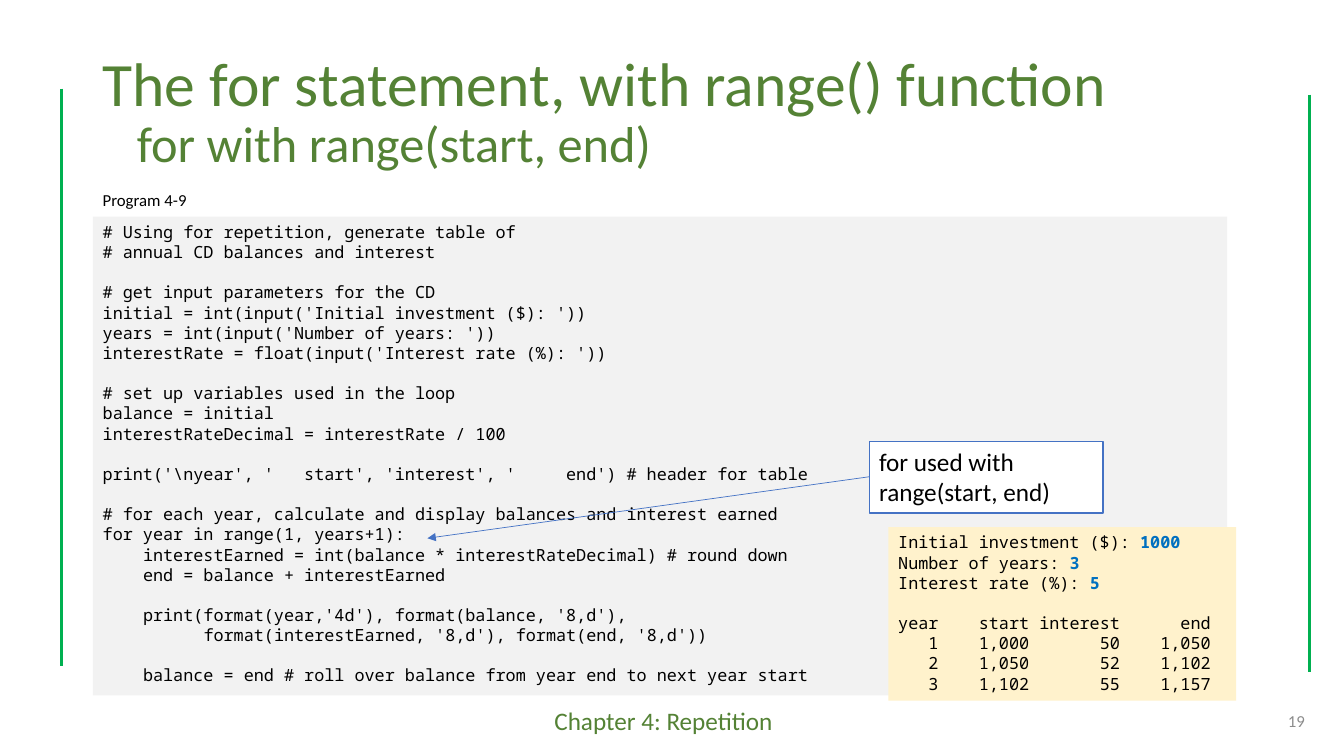
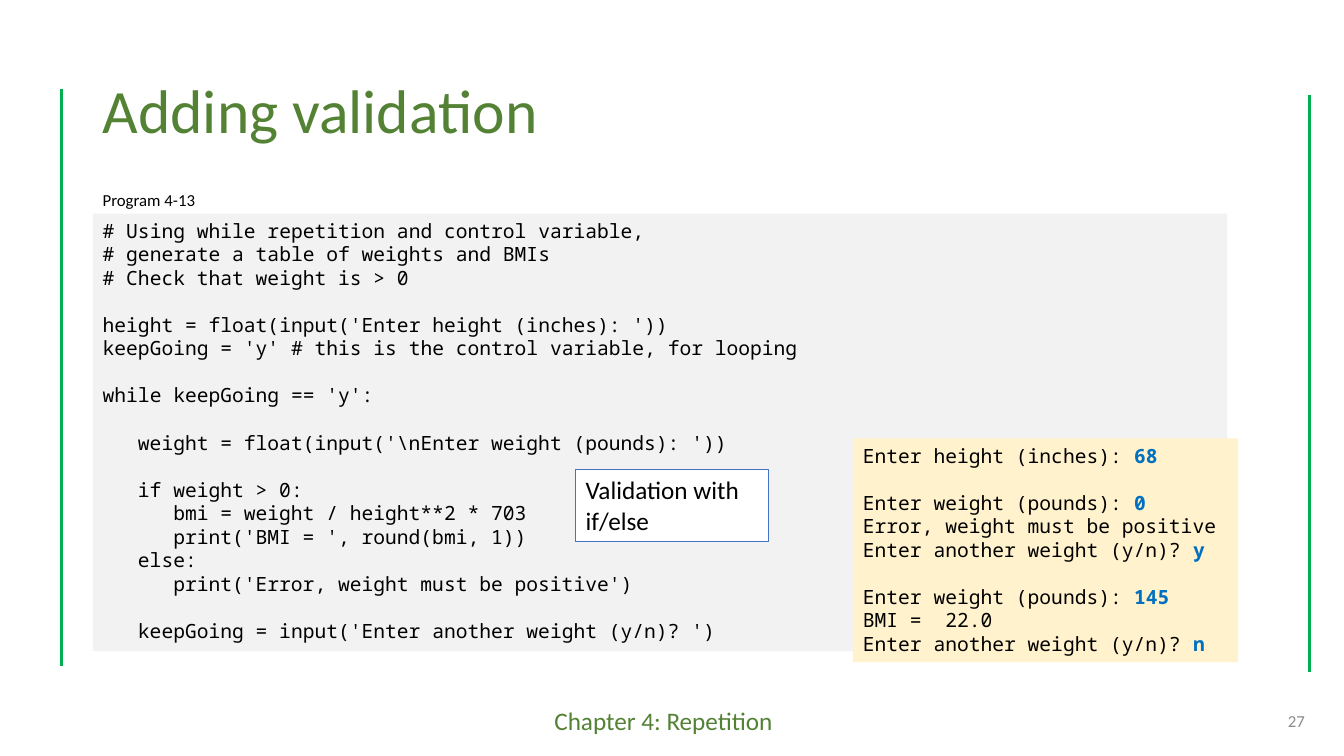
import pptx
import pptx.util
import pptx.dml.color
import pptx.enum.shapes
import pptx.enum.text
import pptx.oxml
import pptx.oxml.ns

PX = 9144  # one px is a hundredth of an inch
SANS, MONO = "Calibri", "Noto Sans Mono"
GREEN, BAR, BLUE, INPUT = "548235", "00B050", "4472C4", "0070C0"
BLACK, WHITE, MUTED = "000000", "FFFFFF", "8C8C8C"
CODE, SHELL = "F2F2F2", "FFF2CC"
CHAR, LINE = 0.6, 1.2  # width and height of a mono letter, in ems
ENDS = (4, 13, 22, 31)  # letter counts where the table's columns end
ALIGN = pptx.enum.text.PP_ALIGN
ANCHOR = pptx.enum.text.MSO_ANCHOR

FOR_SETUP = r"""# Using for repetition, generate table of
# annual CD balances and interest

# get input parameters for the CD
initial = int(input('Initial investment ($): '))
years = int(input('Number of years: '))
interestRate = float(input('Interest rate (%): '))

# set up variables used in the loop
balance = initial
interestRateDecimal = interestRate / 100

print('\nyear', '   start', 'interest', '     end') # header for table

"""

FOR_LOOP = """# for each year, calculate and display balances and interest earned
for year in range(1, years+1):
    interestEarned = int(balance * interestRateDecimal) # round down
    end = balance + interestEarned

    print(format(year,'4d'), format(balance, '8,d'),
          format(interestEarned, '8,d'), format(end, '8,d'))

    balance = end # roll over balance from year end to next year start"""

# In a shell run, what follows the bar is typed by the user
FOR_RUN = """Initial investment ($): |1000
Number of years: |3
Interest rate (%): |5

\tyear\tstart\tinterest\tend
\t1\t1,000\t50\t1,050
\t2\t1,050\t52\t1,102
\t3\t1,102\t55\t1,157"""

BMI_CODE = r"""# Using while repetition and control variable,
# generate a table of weights and BMIs
# Check that weight is > 0

height = float(input('Enter height (inches): '))
keepGoing = 'y' # this is the control variable, for looping

while keepGoing == 'y':

   weight = float(input('\nEnter weight (pounds): '))

   if weight > 0:
      bmi = weight / height**2 * 703
      print('BMI = ', round(bmi, 1))
   else:
      print('Error, weight must be positive')

   keepGoing = input('Enter another weight (y/n)? ')"""

BMI_RUN = """Enter height (inches): |68

Enter weight (pounds): |0
Error, weight must be positive
Enter another weight (y/n)? |y

Enter weight (pounds): |145
BMI =  22.0
Enter another weight (y/n)? |n"""


def rgb(code):
    return pptx.dml.color.RGBColor.from_string(code)


def style(run, size, color=BLACK, face=SANS, bold=False):
    font = run.font
    font.name, font.size, font.bold = face, pptx.util.Pt(size), bold
    font.color.rgb = rgb(color)


def box(slide, area, fill=None, edge=None, anchor=ANCHOR.TOP):
    """Add a text frame, on a filled box if a fill is given."""
    spots = [n * PX for n in area]
    if fill:
        rect = pptx.enum.shapes.MSO_SHAPE.RECTANGLE
        shape = slide.shapes.add_shape(rect, *spots)
        shape.shadow.inherit = False
        shape.fill.solid()
        shape.fill.fore_color.rgb = rgb(fill)
        if edge:
            shape.line.color.rgb = rgb(edge)
            shape.line.width = pptx.util.Pt(0.75)
        else:
            shape.line.fill.background()
    else:
        shape = slide.shapes.add_textbox(*spots)
    frame = shape.text_frame
    frame.word_wrap = True
    frame.vertical_anchor = anchor
    return frame


def label(frame, text, size, color=BLACK, align=ALIGN.LEFT):
    frame.text = text
    para = frame.paragraphs[0]
    para.alignment = align
    style(para.runs[0], size, color)


def indent(para, points):
    para._p.get_or_add_pPr().set("marL", str(pptx.util.Pt(points)))


def add_tabs(para, size):
    """Set right tabs where the columns end."""
    props = para._p.get_or_add_pPr()
    stops = pptx.oxml.parse_xml(
        "<a:tabLst %s/>" % pptx.oxml.ns.nsdecls("a"))
    for end in ENDS:
        stop = stops.makeelement(pptx.oxml.ns.qn("a:tab"), {
            "pos": str(pptx.util.Pt(end * CHAR * size)), "algn": "r"})
        stops.append(stop)
    props.append(stops)


def listing(slide, area, fill, text, size):
    """Show code or a shell run; a gap stands for each empty line."""
    frame = box(slide, area, fill)
    para, gap = None, 0
    for line in text.split("\n"):
        if not line:
            gap += 1
            continue
        para = frame.add_paragraph() if para else frame.paragraphs[0]
        para.alignment = ALIGN.LEFT
        para.space_before = pptx.util.Pt(gap * LINE * size)
        gap = 0
        body = line.lstrip(" ")
        indent(para, (len(line) - len(body)) * CHAR * size)
        if "\t" in body:
            add_tabs(para, size)
        shown, _, typed = body.partition("|")
        para.text = shown
        style(para.runs[0], size, face=MONO)
        if typed:
            run = para.add_run()
            run.text = typed
            style(run, size, INPUT, MONO, True)


def line(slide, start, end, color, width, arrow=False):
    kind = pptx.enum.shapes.MSO_CONNECTOR.STRAIGHT
    link = slide.shapes.add_connector(
        kind, *[n * PX for n in start + end])
    link.line.color.rgb = rgb(color)
    link.line.width = pptx.util.Pt(width)
    names = pptx.oxml.ns.nsdecls("a")
    if arrow:
        link.line._get_or_add_ln().append(
            pptx.oxml.parse_xml('<a:tailEnd %s type="triangle"/>' % names))
    link._element.spPr.append(
        pptx.oxml.parse_xml("<a:effectLst %s/>" % names))


def heading(slide, title, second=None):
    frame = box(slide, (92, 40, 1150, 145), anchor=ANCHOR.MIDDLE)
    label(frame, title, 44, GREEN)
    if second:
        para = frame.add_paragraph()
        para.text = second
        style(para.runs[0], 36, GREEN)
        indent(para, 24.4)
    for para in frame.paragraphs:
        para.line_spacing = 0.9


def page(deck, number, program, title, second=None):
    """Start a slide with the parts that all slides share."""
    slide = deck.slides.add_slide(deck.slide_layouts[6])
    label(box(slide, (540, 695, 253, 40)),
          "Chapter 4: Repetition", 18, GREEN)
    for x, top in ((61, 88), (1299, 94)):
        line(slide, (x, top), (x, top + 573), BAR, 2.25)
    heading(slide, title, second)
    label(box(slide, (1004, 695, 300, 40), anchor=ANCHOR.MIDDLE),
          str(number), 12, MUTED, ALIGN.RIGHT)
    label(box(slide, (92, 183, 203, 30)), program, 12)
    return slide


def callout(slide, area, text):
    label(box(slide, area, WHITE, BLUE), text, 18)


def main():
    deck = pptx.Presentation()
    deck.slide_width, deck.slide_height = 1333 * PX, 750 * PX

    # Loop with range
    slide = page(deck, 19, "Program 4-9",
                 "The for statement, with range() function",
                 "for with range(start, end)")
    listing(slide, (92, 215, 1125, 475), CODE, FOR_SETUP + FOR_LOOP, 12)
    listing(slide, (881, 523, 345, 172), SHELL, FOR_RUN, 12)
    callout(slide, (862, 438, 232, 71), "for used with range(start, end)")
    line(slide, (862, 473), (424, 534), BLUE, 0.5, arrow=True)

    # Input checks
    slide = page(deck, 27, "Program 4-13", "Adding validation")
    listing(slide, (92, 212, 1125, 434), CODE, BMI_CODE, 14)
    listing(slide, (846, 435, 382, 222), SHELL, BMI_RUN, 14)
    callout(slide, (571, 466, 191, 71), "Validation with if/else")

    deck.save("out.pptx")


if __name__ == "__main__":
    main()
